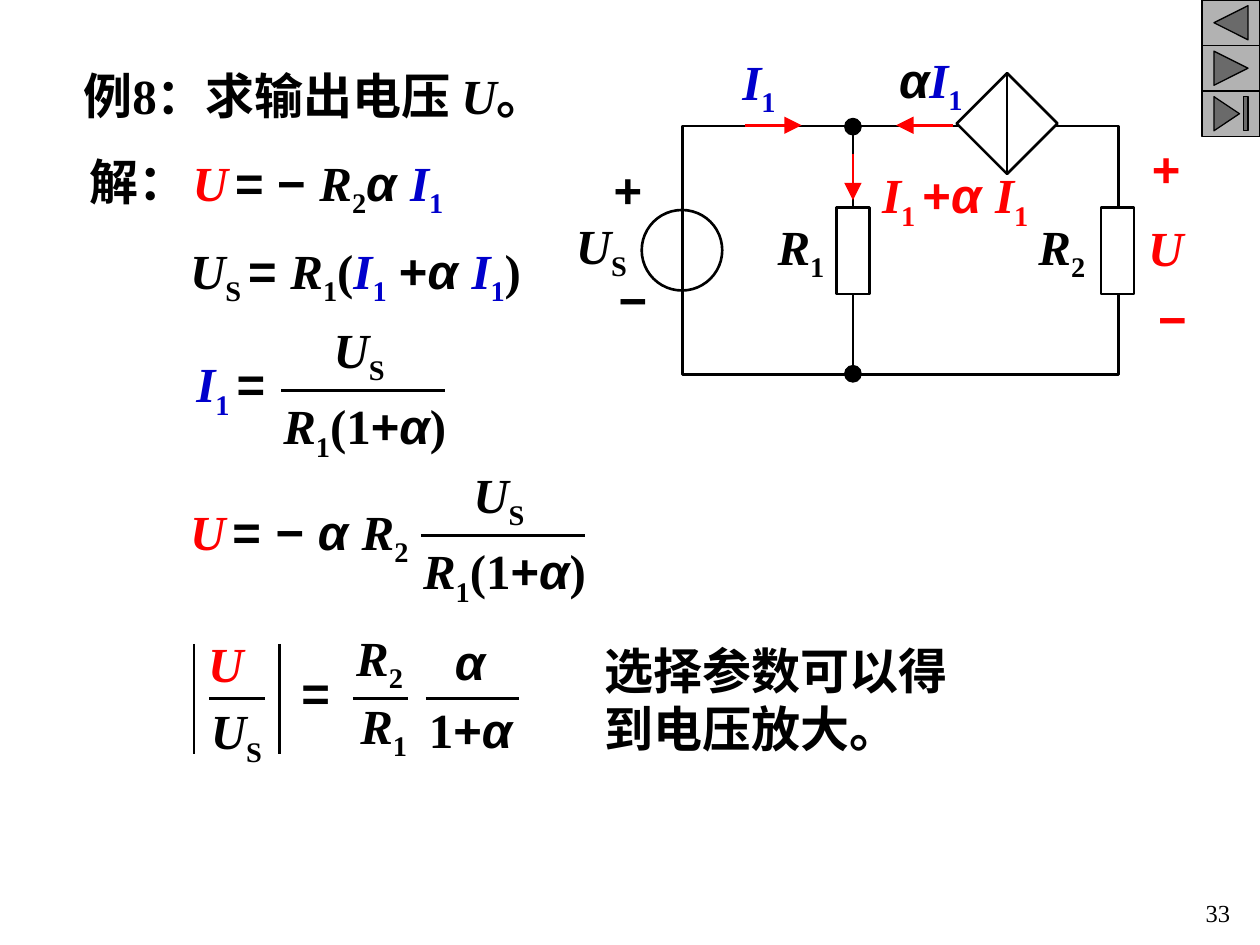
from lxml.etree import SubElement
from pptx import Presentation
from pptx.dml.color import RGBColor
from pptx.enum.shapes import MSO_CONNECTOR as Connector, MSO_SHAPE as Shape
from pptx.enum.text import MSO_ANCHOR as Anchor, MSO_AUTO_SIZE as AutoSize, PP_ALIGN as Align
from pptx.oxml.ns import qn
from pptx.util import Pt

BLACK, WHITE, RED, BLUE, GRAY = "000000", "FFFFFF", "FF0000", "0000CC", "B2B2B2"
SERIF, SANS = "Times New Roman", "Arial"
LABEL_MARGIN = 15


def color_of(value):
    return RGBColor.from_string(value)


def add_span(para, text, font=SERIF, size=28, color=BLACK, bold=True, italic=False, lowered=False):
    span = para.add_run()
    span.text = text
    span.font.name = font
    span.font.size = Pt(size)
    span.font.bold = bold
    span.font.italic = italic
    span.font.color.rgb = color_of(color)
    if lowered:
        span._r.get_or_add_rPr().set("baseline", "-25000")


def plain(text, **style):
    return text, style


def var(text, color=BLACK):
    return text, {"italic": True, "color": color}


def sub(text, color=BLACK):
    return text, {"lowered": True, "color": color}


def sign(text, color=BLACK):
    return text, {"font": SANS, "color": color}


def alpha(text="α", color=BLACK):
    return text, {"font": SANS, "italic": True, "color": color}


def current(color, tail=""):
    return [var("I", color), sub("1" + tail, color)]


SOURCE = [var("U"), sub("S")]
R1 = [var("R"), sub("1")]
R2 = [var("R"), sub("2")]
OUTPUT = [var("U", RED), sub(" ")]
LOOP_GAIN = R1 + [plain("(1"), sign("+"), alpha(), plain(")")]


def add_label(page, spans, left, top, width, height=41, align=Align.CENTER, anchor=Anchor.TOP):
    box = page.shapes.add_textbox(Pt(left), Pt(top), Pt(width), Pt(height))
    frame = box.text_frame
    centered = align == Align.CENTER
    frame.word_wrap = not centered
    frame.auto_size = AutoSize.SHAPE_TO_FIT_TEXT if centered else AutoSize.NONE
    frame.vertical_anchor = anchor
    para = frame.paragraphs[0]
    para.alignment = align
    for text, style in spans:
        add_span(para, text, **style)


def add_line(page, start, end, color=BLACK, arrow=False):
    points = [Pt(value) for value in (*start, *end)]
    line = page.shapes.add_connector(Connector.STRAIGHT, *points)
    line.line.color.rgb = color_of(color)
    line.line.width = Pt(1.5)
    properties = line._element.spPr
    if arrow:
        SubElement(properties.find(qn("a:ln")), qn("a:tailEnd"), type="triangle", w="lg", len="lg")
    SubElement(properties, qn("a:effectLst"))


def add_part(page, kind, left, top, width, height, fill=None, weight=1.5):
    part = page.shapes.add_shape(kind, Pt(left), Pt(top), Pt(width), Pt(height))
    part.shadow.inherit = False
    part.line.color.rgb = color_of(BLACK)
    part.line.width = Pt(weight)
    if fill:
        part.fill.solid()
        part.fill.fore_color.rgb = color_of(fill)
    else:
        part.fill.background()


def add_fraction(page, left, top, width, upper, lower):
    add_line(page, (left, top), (left + width, top))
    for spans, shift, offset in (upper, lower):
        add_label(page, spans, left + shift - LABEL_MARGIN, top + offset,
                  width + 2 * LABEL_MARGIN, 45)


def add_buttons(page, left, top, width, height):
    kinds = (
        Shape.ACTION_BUTTON_BACK_OR_PREVIOUS,
        Shape.ACTION_BUTTON_FORWARD_OR_NEXT,
        Shape.ACTION_BUTTON_END,
    )
    step = height / len(kinds)
    for row, kind in enumerate(kinds):
        add_part(page, kind, left, top + row * step, width, step, GRAY, 0.75)


def add_circuit(page, left, top, width, height):
    right, bottom = left + width, top + height
    branch = left + 97.2
    add_part(page, Shape.RECTANGLE, left, top, width, height)
    add_part(page, Shape.OVAL, left - 23.5, top + 48, 46, 46)
    add_line(page, (branch, top), (branch, bottom))
    add_line(page, (branch, top + 15.8), (branch, top + 42.5), RED, True)
    for node in (top + 0.4, bottom - 0.4):
        add_part(page, Shape.OVAL, branch - 4.7, node - 4.7, 9.4, 9.4, BLACK, 0.75)
    for center in (branch, right - 0.6):
        add_part(page, Shape.RECTANGLE, center - 9.4, top + 46.4, 18.8, 49.7, WHITE)
    for start, end in ((35.5, 67.9), (154.3, 121.9)):
        add_line(page, (left + start, top - 0.4), (left + end, top - 0.4), RED, True)
    add_part(page, Shape.DIAMOND, left + 156.5, top - 30.2, 57.6, 57.6, WHITE)
    add_line(page, (left + 185.3, top - 30.2), (left + 185.3, top + 26.6))
    labels = (
        ([sign("+")], -46.6, 15.8, 30.2),
        ([sign("−")], -43.7, 78.5, 23.8),
        (SOURCE, -70.2, 47.5, 47.2),
        (R1, 45, 48.2, 45),
        (R2, 194.1, 48.2, 45),
        (current(BLUE), 23.9, -46.1, 39.1),
        ([alpha()] + current(BLUE), 114.2, -47.5, 55.1),
        ([sign("+", RED)], 260.9, 3.6, 30.2),
        ([sign("−", RED)], 264.5, 89.3, 23.8),
        ([var("U", RED)], 258.7, 49, 34.6),
    )
    for spans, across, down, label_width in labels:
        add_label(page, spans, left + across, top + down, label_width, 45)
    total = current(RED, " ") + [sign("+", RED), alpha("α ", RED)] + current(RED)
    add_label(page, total, left + 106.8, top + 18.7, 121.7, 45, Align.LEFT)


def add_equations(page, left, top, width):
    output = OUTPUT + [sign("= − ")] + R2 + [alpha("α ")] + current(BLUE)
    supply = SOURCE[:1] + [sub("S "), sign("= ")] + R1 + [plain("(")]
    supply += current(BLUE) + [plain(" "), sign("+"), alpha("α ")] + current(BLUE) + [plain(")")]
    rows = (
        (output, 1.5, 0),
        (supply, 0, 50.4),
        (current(BLUE, " ") + [sign("=")], 3.6, 115.2),
        (OUTPUT + [sign("=")], 0, 199.5),
    )
    for spans, across, down in rows:
        add_label(page, spans, left + across, top + down, width, 45, Align.LEFT)
    add_label(page, [sign("− "), alpha("α ")] + R2, left + 46.1, top + 199.5, 95.8, 45)
    for across, down in ((59.1, 139.7), (139, 222.5)):
        add_fraction(page, left + across, top + down, 93.6,
                     (SOURCE, -2.2, -44.2), (LOOP_GAIN, 1, -0.5))


def add_ratio(page, left, top, height):
    middle = top + 31
    for side in (left, left + 49):
        add_line(page, (side, top), (side, top + height))
    add_fraction(page, left + 8.6, middle, 31.7,
                 ([var("U ", RED)], -2.8, -40.3), (SOURCE, -0.3, -2))
    add_label(page, [sign("=")], left + 51.1, middle - 23.8, 36.7)
    add_fraction(page, left + 90.7, middle, 31.7,
                 (R2[:1] + [sub("2 ")], 1.5, -43.9), (R1, 1.8, -5.1))
    add_fraction(page, left + 132.5, middle, 53.2,
                 ([alpha()], -1.4, -41.8), ([plain("1"), sign("+"), alpha()], -1.1, -2.9))


def add_wording(page):
    title = [plain("例8：求输出电压 "), var("U"), plain("。")]
    add_label(page, title, 40.6, 33.5, 297.4, 41, Align.LEFT, Anchor.MIDDLE)
    add_label(page, [plain("解：")], 43.9, 82.8, 93.6, 41, Align.LEFT)
    add_label(page, [plain("选择参数可以得到电压放大。")], 338.4, 362.2, 212.4, 75, Align.LEFT)
    add_label(page, [plain("33", size=14, bold=False)], 560.2, 509.8, 149.8, 28.8, Align.RIGHT)


def main():
    deck = Presentation()
    deck.slide_width, deck.slide_height = Pt(720), Pt(540)
    page = deck.slides.add_slide(deck.slide_layouts[6])
    add_buttons(page, 686.9, 0, 33.1, 78)
    add_wording(page)
    add_circuit(page, 390.2, 72, 249, 142)
    add_equations(page, 101.5, 83.5, 209.5)
    add_ratio(page, 110.9, 368, 63)
    deck.save("out.pptx")


if __name__ == "__main__":
    main()
